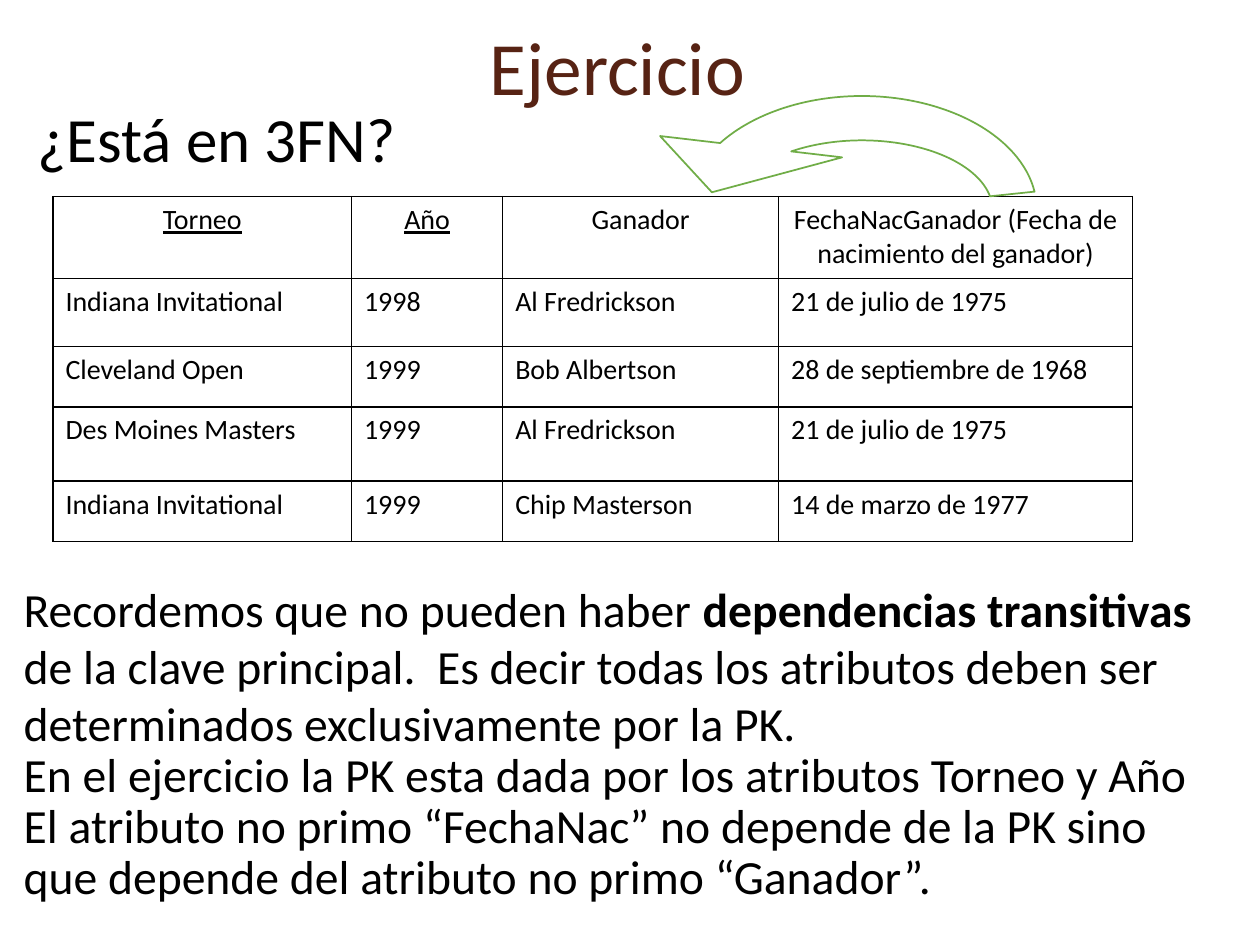
from pptx import Presentation
from pptx.dml.color import RGBColor
from pptx.enum import shapes, text
from pptx.oxml import parse_xml
from pptx.oxml.ns import nsdecls
from pptx.util import Inches, Pt

FONT = "Calibri"
COLORS = {"title": "572314", "text": "000000", "arrow": "70AD47", "paper": "FFFFFF"}
COLUMN_WIDTHS = [2.37, 1.2, 2.19, 2.81]
ROW_HEIGHTS = [0.65, 0.54, 0.48, 0.59, 0.48]
KEY_COLUMNS = 2
TOURNAMENTS = [
    ["Torneo", "Año", "Ganador", "FechaNacGanador (Fecha de nacimiento del ganador)"],
    ["Indiana Invitational", "1998", "Al Fredrickson", "21 de julio de 1975"],
    ["Cleveland Open", "1999", "Bob Albertson", "28 de septiembre de 1968"],
    ["Des Moines Masters", "1999", "Al Fredrickson", "21 de julio de 1975"],
    ["Indiana Invitational", "1999", "Chip Masterson", "14 de marzo de 1977"],
]
# Each paragraph is a list of (text, bold) runs.
EXPLANATION = [
    [
        ("Recordemos que no pueden haber ", False),
        ("dependencias transitivas ", True),
        ("de la clave principal.  Es decir todas los atributos deben ser "
         "determinados exclusivamente por la PK.", False),
    ],
    [("En el ejercicio la PK esta dada por los atributos Torneo y Año", False)],
    [("El atributo no primo “FechaNac” no depende de la PK sino que depende "
      "del atributo no primo “Ganador”.", False)],
]


def color(name):
    return RGBColor.from_string(COLORS[name])


def style(font, size, color_name="text"):
    font.name = FONT
    font.size = Pt(size)
    font.color.rgb = color(color_name)


def add_text_box(slide, left, top, width, height):
    box = slide.shapes.add_textbox(Inches(left), Inches(top), Inches(width), Inches(height))
    box.text_frame.word_wrap = True
    return box.text_frame


def add_line_of_text(slide, position, words, size, color_name="text"):
    frame = add_text_box(slide, *position)
    frame.text = words
    style(frame.paragraphs[0].runs[0].font, size, color_name)
    return frame


def add_explanation(slide):
    frame = add_text_box(slide, 0.09, 4.55, 9.76, 2.63)
    for index, runs in enumerate(EXPLANATION):
        paragraph = frame.add_paragraph() if index else frame.paragraphs[0]
        if index:
            paragraph.line_spacing = 0.9
        for words, bold in runs:
            run = paragraph.add_run()
            run.text = words
            style(run.font, 27.2)
            run.font.bold = bold


def set_borders(cell):
    properties = cell._tc.get_or_add_tcPr()
    for index, side in enumerate(("lnL", "lnR", "lnT", "lnB")):
        properties.insert(index, parse_xml(
            f'<a:{side} {nsdecls("a")} w="{Pt(1)}"><a:solidFill>'
            f'<a:srgbClr val="{COLORS["text"]}"/></a:solidFill></a:{side}>'))


def add_tournament_table(slide):
    table = slide.shapes.add_table(
        len(ROW_HEIGHTS), len(COLUMN_WIDTHS), Inches(0.42), Inches(1.56),
        Inches(sum(COLUMN_WIDTHS)), Inches(sum(ROW_HEIGHTS))).table
    for column, width in zip(table.columns, COLUMN_WIDTHS):
        column.width = Inches(width)
    for row_index, (row, height) in enumerate(zip(table.rows, ROW_HEIGHTS)):
        row.height = Inches(height)
        for column_index, cell in enumerate(row.cells):
            cell.text = TOURNAMENTS[row_index][column_index]
            cell.fill.background()
            set_borders(cell)
            paragraph = cell.text_frame.paragraphs[0]
            font = paragraph.runs[0].font
            style(font, 16)
            font.bold = False
            if row_index == 0:
                paragraph.alignment = text.PP_ALIGN.CENTER
                font.underline = column_index < KEY_COLUMNS


def add_dependency_arrow(slide):
    """Curved arrow from the birth date column back to the winner column."""
    arrow = slide.shapes.add_shape(
        shapes.MSO_SHAPE.CIRCULAR_ARROW, Inches(4.9), Inches(0.21), Inches(3.88), Inches(2.91))
    for index, value in enumerate((0.121, 13.799, 198.191, 111.613, 0.25)):
        arrow.adjustments[index] = value
    arrow.rotation = 180
    arrow._element.spPr.xfrm.set("flipV", "1")
    arrow.shadow.inherit = False
    arrow.fill.solid()
    arrow.fill.fore_color.rgb = color("paper")
    arrow.line.color.rgb = color("arrow")
    arrow.line.width = Pt(1)


def main():
    presentation = Presentation()
    presentation.slide_width = Inches(10)
    presentation.slide_height = Inches(7.5)
    slide = presentation.slides.add_slide(presentation.slide_layouts[6])

    title = add_line_of_text(slide, (0.8, 0.03, 8.2, 0.98), "Ejercicio", 43, "title")
    title.vertical_anchor = text.MSO_ANCHOR.MIDDLE
    title.paragraphs[0].alignment = text.PP_ALIGN.CENTER
    add_explanation(slide)
    add_tournament_table(slide)
    add_dependency_arrow(slide)
    add_line_of_text(slide, (0.2, 0.74, 9.54, 0.73), "¿Está en 3FN?", 36)

    presentation.save("out.pptx")


if __name__ == "__main__":
    main()
